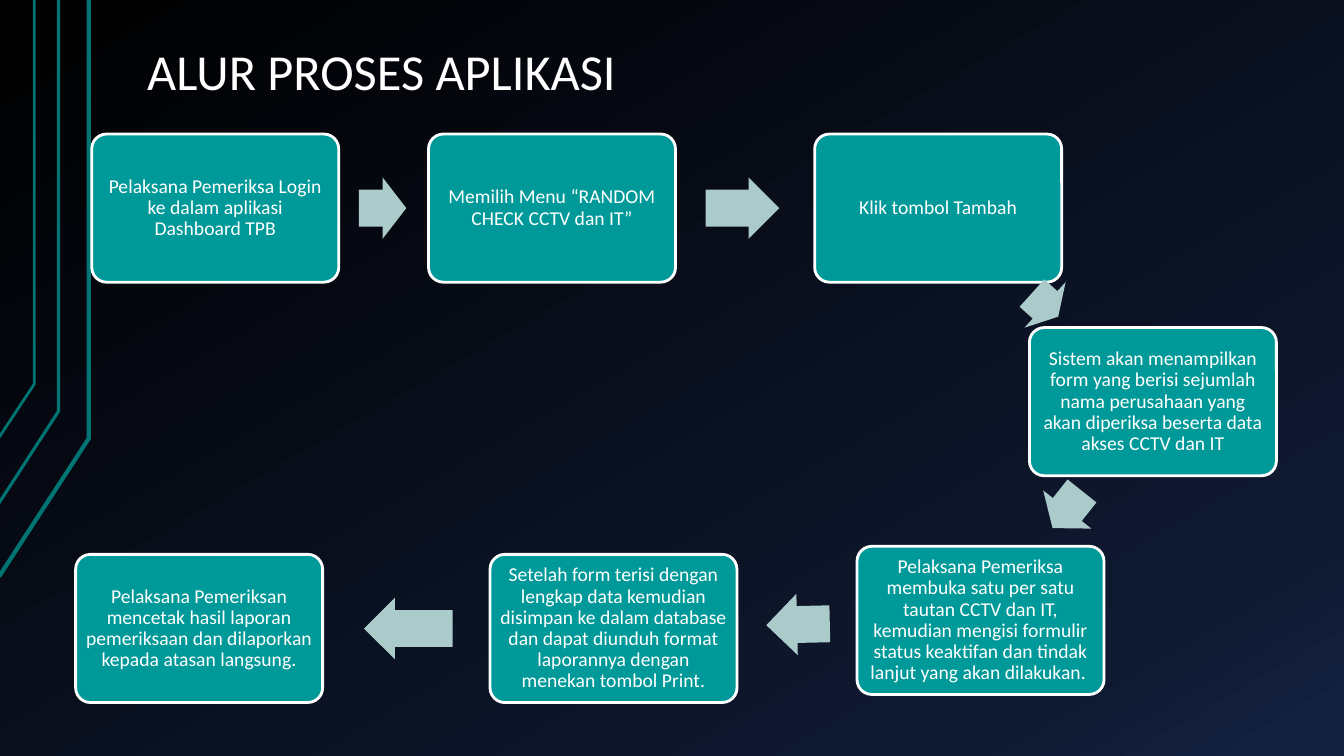
from copy import deepcopy

from pptx import Presentation
from pptx.dml.color import RGBColor
from pptx.enum.shapes import MSO_SHAPE
from pptx.enum.text import MSO_ANCHOR, PP_ALIGN
from pptx.oxml.ns import qn
from pptx.util import Inches, Pt

BOX, ARROW = MSO_SHAPE.ROUNDED_RECTANGLE, MSO_SHAPE.RIGHT_ARROW
LEFT, CENTER = PP_ALIGN.LEFT, PP_ALIGN.CENTER
BOTTOM, MIDDLE = MSO_ANCHOR.BOTTOM, MSO_ANCHOR.MIDDLE

# Content
FONT = "Calibri"
COLORS = {"text": "FFFFFF", "step": "009999", "arrow": "ABCACA", "rail": "007373"}
BACKGROUND_STOPS = [(0, "000000"), (0.85, "0F1931"), (1, "142242")]
TITLE = "ALUR PROSES APLIKASI"
TOP_ROW, SIDE_ROW, TURN_ROW, BOTTOM_ROW = 1.33, 3.25, 5.42, 5.5
STEPS = [  # left, top, wording
    (0.91, TOP_ROW, "Pelaksana Pemeriksa Login ke dalam aplikasi Dashboard TPB"),
    (4.25, TOP_ROW, "Memilih Menu “RANDOM CHECK CCTV dan IT”"),
    (8.08, TOP_ROW, "Klik tombol Tambah"),
    (10.21, SIDE_ROW, "Sistem akan menampilkan form yang berisi sejumlah nama perusahaan "
                      "yang akan diperiksa beserta data akses CCTV dan IT"),
    (8.5, TURN_ROW, "Pelaksana Pemeriksa membuka satu per satu tautan CCTV dan IT, kemudian "
                    "mengisi formulir status keaktifan dan tindak lanjut yang akan dilakukan. "),
    (4.86, BOTTOM_ROW, "Setelah form terisi dengan lengkap data kemudian disimpan ke dalam database "
                       "dan dapat diunduh format laporannya dengan menekan tombol Print."),
    (0.75, BOTTOM_ROW, "Pelaksana Pemeriksan mencetak hasil laporan pemeriksaan dan dilaporkan "
                       "kepada atasan langsung."),
]
ARROWS = [  # left, top, length, rotation; one after each step but the last
    (3.56, 1.76, 0.47, 0),
    (7, 1.76, 0.73, 0),
    (10.19, 2.72, 0.35, 42),
    (10.35, 4.75, 0.47, 128.4),
    (7.6, 5.89, 0.63, 178.7),
    (3.61, 5.93, 0.88, 180),
]
RAILS = [  # x, bend y, end y at the slide edge, line width
    (0.88, 4.35, 5.72, 3),
    (0.58, 4.08, 4.99, 2.25),
    (0.34, 3.81, 4.34, 2),
]
STEP_W, STEP_H, ARROW_H = 2.45, 1.47, 0.61


def rgb(name):
    return RGBColor.from_string(COLORS[name])


def write(shape, wording, size, align, anchor, inset_x, inset_y):
    frame = shape.text_frame
    frame.text = wording
    paragraph = frame.paragraphs[0]
    font = paragraph.runs[0].font
    formats = [
        (frame, {"word_wrap": True, "vertical_anchor": anchor,
                 "margin_left": Inches(inset_x), "margin_right": Inches(inset_x),
                 "margin_top": Inches(inset_y), "margin_bottom": Inches(inset_y)}),
        (paragraph, {"alignment": align, "line_spacing": 0.9}),
        (font, {"name": FONT, "size": Pt(size)}),
    ]
    for part, values in formats:
        for key, value in values.items():
            setattr(part, key, value)
    font.color.rgb = rgb("text")


def add_block(preset, left, top, width, height, fill):
    block = slide.shapes.add_shape(preset, *map(Inches, (left, top, width, height)))
    block.shadow.inherit = False
    block.fill.solid()
    block.fill.fore_color.rgb = rgb(fill)
    return block


prs = Presentation()
prs.slide_width, prs.slide_height = Inches(13.33), Inches(7.5)
slide = prs.slides.add_slide(prs.slide_layouts[5])

# Background gradient: a third stop joins the two default ones
backdrop = slide.background.fill
backdrop.gradient()
backdrop.gradient_angle = 300
stop_list = slide.element.find(".//" + qn("a:gsLst"))
stop_list.append(deepcopy(stop_list[-1]))
for stop, (position, color) in zip(backdrop.gradient_stops, BACKGROUND_STOPS):
    stop.position = position
    stop.color.rgb = RGBColor.from_string(color)

# Bent rails on the left edge
for x, bend_y, end_y, width in RAILS:
    builder = slide.shapes.build_freeform(Inches(-0.01), Inches(end_y))
    builder.add_line_segments([(Inches(x), Inches(bend_y)), (Inches(x), 0)], close=False)
    rail = builder.convert_to_shape()
    rail.shadow.inherit = False
    rail.fill.background()
    rail.line.color.rgb = rgb("rail")
    rail.line.width = Pt(width)

# Title
title = slide.shapes.title
title.left, title.top, title.width, title.height = map(Inches, (1.33, 0.3, 11.33, 0.78))
write(title, TITLE, 36, LEFT, BOTTOM, 0.13, 0.07)

# Steps
for left, top, wording in STEPS:
    step = add_block(BOX, left, top, STEP_W, STEP_H, "step")
    step.adjustments[0] = 0.1
    step.line.color.rgb = rgb("text")
    step.line.width = Pt(2)
    write(step, wording, 14, CENTER, MIDDLE, 0.06, 0.06)

# Arrows between the steps
for left, top, length, rotation in ARROWS:
    arrow = add_block(ARROW, left, top, length, ARROW_H, "arrow")
    arrow.adjustments[0], arrow.adjustments[1] = 0.6, 0.5
    arrow.rotation = rotation
    arrow.line.fill.background()

prs.save("out.pptx")
